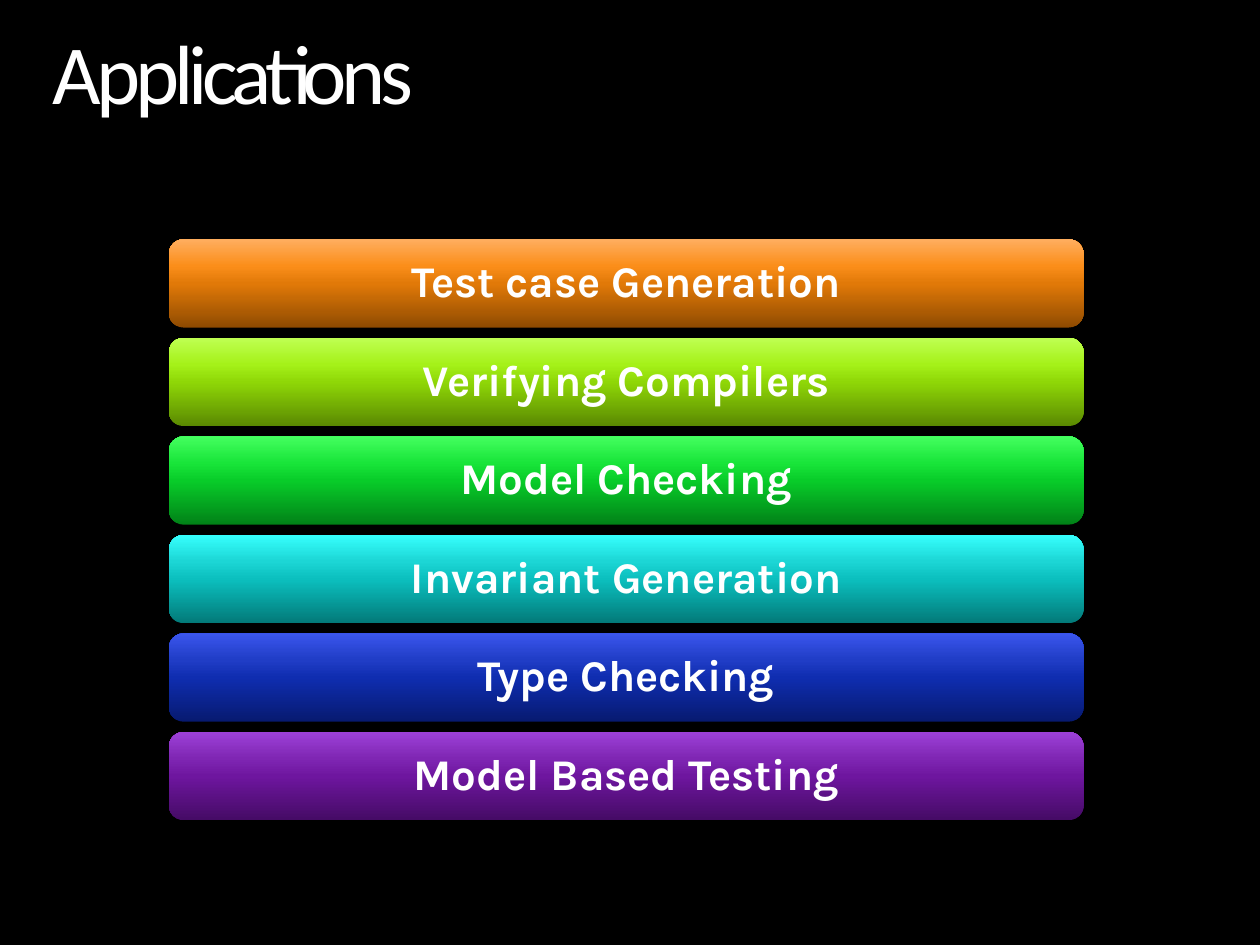
"""Build the Applications slide: a title above a stack of gradient bars."""
from lxml import etree
from pptx import Presentation, util as u
from pptx.dml.color import RGBColor
from pptx.enum import shapes, text
from pptx.oxml.ns import qn

TITLE = "Applications"
BARS = [
    ("Test case Generation", ("8F4B01", "E17908", "FB8E1A", "FFAE5F")),
    ("Verifying Compilers", ("5A8901", "8FD707", "A5F119", "BFFF52")),
    ("Model Checking", ("018217", "08CC29", "19E53A", "44FF5F")),
    ("Invariant Generation", ("037A79", "0BBFBE", "1CD6D5", "36FFFD")),
    ("Type Checking", ("071A70", "0F2DB0", "203DC6", "3B56ED")),
    ("Model Based Testing", ("450B65", "6E169F", "7F26B3", "9D41D8")),
]
STOPS = (0, 50, 70, 100)
LEFT, WIDTH, HEIGHT = 1.34, 7.26, 0.7
FIRST, LAST = 1.9, 5.81


def paint(color, value):
    color.rgb = RGBColor.from_string(value)


def write(frame, words, font, size, bold, align):
    para = frame.paragraphs[0]
    para.alignment = align
    para.line_spacing = 0.9
    run = para.add_run()
    run.text = words
    run.font.name = font
    run.font.size = u.Pt(size)
    run.font.bold = bold
    run.font.fill.solid()
    paint(run.font.fill.fore_color, "FFFFFF")
    return run


def shade(shape, colors):
    shape.fill.gradient()
    shape.fill.gradient_angle = 90
    stops = shape.element.spPr.find(".//" + qn("a:gsLst"))
    for old in list(stops):
        stops.remove(old)
    for place, value in zip(STOPS, colors):
        stop = etree.SubElement(stops, qn("a:gs"), pos=str(place * 1000))
        etree.SubElement(stop, qn("a:srgbClr"), val=value)


def add_title(slide):
    title = slide.shapes.title
    title.left, title.top = u.Inches(0.42), u.Inches(0.25)
    title.width, title.height = u.Inches(9.17), u.Inches(0.73)
    frame = title.text_frame
    frame.margin_left = frame.margin_right = 0
    frame.margin_top = frame.margin_bottom = 0
    frame.vertical_anchor = text.MSO_ANCHOR.TOP
    frame.auto_size = text.MSO_AUTO_SIZE.SHAPE_TO_FIT_TEXT
    run = write(frame, TITLE, "Calibri", 48, False, text.PP_ALIGN.LEFT)
    run.font._element.set("spc", "-300")


def add_bar(slide, top, label, colors):
    bar = slide.shapes.add_shape(
        shapes.MSO_SHAPE.ROUNDED_RECTANGLE,
        u.Inches(LEFT), u.Inches(top), u.Inches(WIDTH), u.Inches(HEIGHT))
    bar.shadow.inherit = False
    bar.line.fill.background()
    shade(bar, colors)
    frame = bar.text_frame
    frame.word_wrap = True
    frame.vertical_anchor = text.MSO_ANCHOR.MIDDLE
    write(frame, label, "Karla", 25, True, text.PP_ALIGN.CENTER)


def main():
    deck = Presentation()
    deck.slide_width, deck.slide_height = u.Inches(10), u.Inches(7.5)
    slide = deck.slides.add_slide(deck.slide_layouts[5])
    slide.background.fill.solid()
    paint(slide.background.fill.fore_color, "000000")
    add_title(slide)
    pitch = (LAST - FIRST) / (len(BARS) - 1)
    for row, (label, colors) in enumerate(BARS):
        add_bar(slide, FIRST + row * pitch, label, colors)
    deck.save("out.pptx")


if __name__ == "__main__":
    main()
